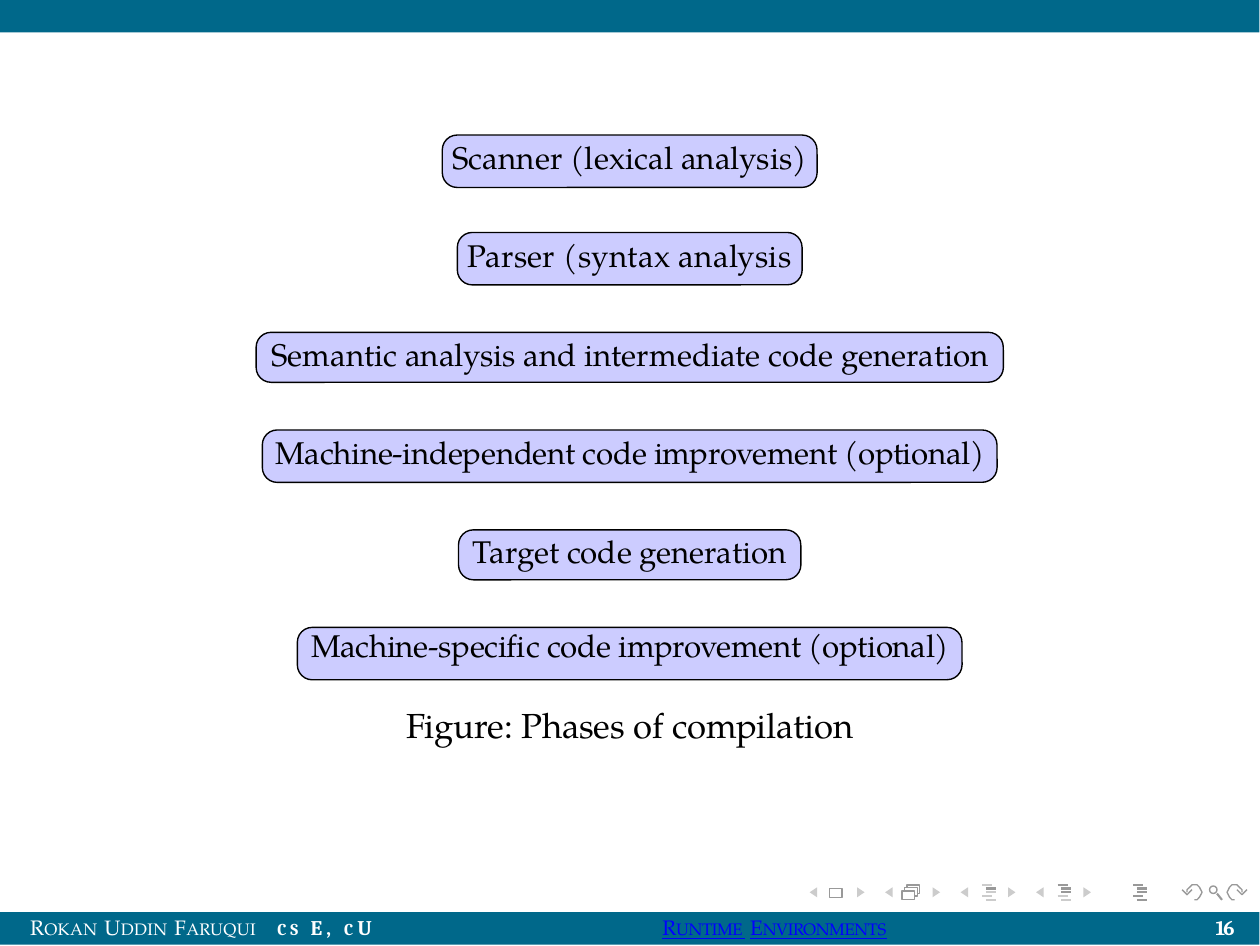
from pptx import Presentation
from pptx.dml.color import RGBColor
from pptx.enum.shapes import MSO_CONNECTOR, MSO_SHAPE
from pptx.enum.text import MSO_ANCHOR, PP_ALIGN
from pptx.oxml.ns import qn
from pptx.util import Inches, Pt
from lxml.etree import SubElement

TEAL = RGBColor(0x00, 0x68, 0x8A)
LAVENDER = RGBColor(0xCC, 0xCC, 0xFF)
BLACK = RGBColor(0x00, 0x00, 0x00)
WHITE = RGBColor(0xFF, 0xFF, 0xFF)
LINK_BLUE = RGBColor(0x00, 0x00, 0xFF)
GREY = RGBColor(0x99, 0x99, 0x99)
LIGHT_GREY = RGBColor(0xCC, 0xCC, 0xCC)

WIDTH = 5.04
BAR_HEIGHT = 0.13
SERIF = "TeX Gyre Pagella"
PHASE_FONT = {"name": SERIF, "size": Pt(9), "bold": False}
CAPTION_FONT = {"name": SERIF, "size": Pt(10), "bold": False}
AUTHOR_FONT = {"name": SERIF, "size": Pt(6)}
TALK_FONT = {"name": SERIF, "size": Pt(6), "underline": True}
NUMBER_FONT = {"name": "Cambria", "size": Pt(6), "bold": True}

PHASES = [
    ("Scanner (lexical analysis)", 0.54, 1.50, 0.21, 0.03, 0.04),
    ("Parser (syntax analysis", 0.93, 1.38, 0.21, 0.03, 0.08),
    ("Semantic analysis and intermediate code generation", 1.33, 2.99, 0.20, 0.03, 0),
    ("Machine-independent code improvement (optional)", 1.72, 2.94, 0.21, 0.03, -0.09),
    ("Target code generation", 2.12, 1.37, 0.20, 0.03, 0),
    ("Machine-specific code improvement (optional)", 2.51, 2.66, 0.21, 0.07, -0.08),
]
AUTHOR = [("R", 0.1, False), ("okan ", 0.1, True), ("U", 0.1, False),
          ("ddin ", 0.1, True), ("F", 0.1, False), ("aruqui", 0.1, True)]
AFFILIATION = [("cs", 1.2, True), ("E, ", 1.2, False), ("c", 0.6, True), ("U", 0.6, False)]
TALK = [("R", -0.1, False), ("untime", -0.1, True), (" ", 1.3, False),
        ("E", -0.2, False), ("nvironments", -0.1, True)]


def write(frame, runs, font_format, color, align=PP_ALIGN.CENTER, lift=0):
    """Fill a text frame with one line of (text, spacing, small caps) runs."""
    layout = {"margin_left": 0, "margin_right": 0, "margin_top": 0,
              "margin_bottom": Inches(lift), "word_wrap": False,
              "vertical_anchor": MSO_ANCHOR.MIDDLE}
    for key, value in layout.items():
        setattr(frame, key, value)
    line = frame.paragraphs[0]
    line.alignment = align
    for text, spacing, small in runs:
        run = line.add_run()
        run.text = text
        for key, value in font_format.items():
            setattr(run.font, key, value)
        run.font.color.rgb = color
        properties = run.font._element
        if spacing:
            properties.set("spc", str(round(spacing * 100)))
        if small:
            properties.set("cap", "small")


def paint(shape, fill=None, line=None, weight=0.4):
    """Give a shape its fill and outline, without a shadow."""
    shape.shadow.inherit = False
    if fill is None:
        shape.fill.background()
    else:
        shape.fill.solid()
        shape.fill.fore_color.rgb = fill
    if line is None:
        shape.line.fill.background()
    else:
        shape.line.color.rgb = line
        shape.line.width = Pt(weight)


def add_outline(slide, contours, closed=False, **colors):
    """Draw contours given as lists of points in inches."""
    builder = None
    for contour in contours:
        points = [(Inches(x), Inches(y)) for x, y in contour]
        if builder is None:
            builder = slide.shapes.build_freeform(*points[0], scale=1.0)
        else:
            builder.move_to(*points[0])
        builder.add_line_segments(points[1:], close=closed)
    paint(builder.convert_to_shape(), **colors)


def add_stroke(slide, x1, y1, x2, y2, color):
    """Draw a straight stroke without a shadow."""
    stroke = slide.shapes.add_connector(
        MSO_CONNECTOR.STRAIGHT, *map(Inches, (x1, y1, x2, y2)))
    stroke.line.color.rgb = color
    stroke.line.width = Pt(0.6)
    SubElement(stroke._element.spPr, qn("a:effectLst"))


def add_bar(slide, top):
    """Draw a full-width band."""
    bar = slide.shapes.add_shape(
        MSO_SHAPE.RECTANGLE, *map(Inches, (0, top, WIDTH, BAR_HEIGHT)))
    paint(bar, fill=TEAL)


def add_phases(slide, center):
    """Stack the compiler phases around a vertical axis."""
    for label, top, width, height, lift, spacing in PHASES:
        phase = slide.shapes.add_shape(
            MSO_SHAPE.ROUNDED_RECTANGLE,
            *map(Inches, (center - width / 2, top, width, height)))
        phase.adjustments[0] = 0.06 / height
        paint(phase, fill=LAVENDER, line=BLACK)
        write(phase.text_frame, [(label, spacing, False)], PHASE_FONT, BLACK, lift=lift)


def add_caption(slide, left, top, width, height):
    """Set the figure caption in the title placeholder."""
    caption = slide.shapes.title
    box = {"left": left, "top": top, "width": width, "height": height}
    for key, value in box.items():
        setattr(caption, key, Inches(value))
    write(caption.text_frame, [("Figure: Phases of compilation", -0.03, False)],
          CAPTION_FONT, BLACK)


def add_navigation(slide, left, top):
    """Draw the row of navigation symbols from its top left corner."""
    middle = top + 0.03
    for step in range(4):
        back = left + 0.302 * step
        for tip, base in ((back, back + 0.03), (back + 0.22, back + 0.19)):
            add_outline(slide, [[(base, middle - 0.02), (tip, middle),
                                 (base, middle + 0.02)]], closed=True, fill=LIGHT_GREY)

    for x, y in ((left + 0.08, top + 0.015), (left + 0.37, top + 0.025)):
        page = slide.shapes.add_shape(
            MSO_SHAPE.RECTANGLE, *map(Inches, (x, y, 0.05, 0.035)))
        paint(page, line=GREY)
    for shift in (0, 0.01):
        x, y = left + 0.38 + shift, top + 0.02 - shift
        add_outline(slide, [[(x, y), (x, y - 0.01), (x + 0.05, y - 0.01),
                             (x + 0.05, y + 0.025), (x + 0.04, y + 0.025)]], line=GREY)

    for group, dark_rows in enumerate([{1}, {0, 1, 2}, set(range(5))]):
        for row in range(5):
            x = left + 0.69 + 0.302 * group + (0.015 if row in (1, 2, 4) else 0)
            y = top + 0.015 * row
            add_stroke(slide, x, y, x + 0.04, y, GREY if row in dark_rows else LIGHT_GREY)

    lens = slide.shapes.add_shape(
        MSO_SHAPE.OVAL, *map(Inches, (left + 1.6, top + 0.005, 0.03, 0.03)))
    paint(lens, line=GREY)
    add_stroke(slide, left + 1.63, top + 0.035, left + 1.65, top + 0.06, GREY)

    arc = [(1.54, 0.06), (1.55, 0.06), (1.56, 0.05), (1.57, 0.03), (1.56, 0.01),
           (1.55, 0), (1.53, 0), (1.52, 0.01), (1.51, 0.02), (1.51, 0.03)]
    head = [(1.53, 0.02), (1.51, 0.04), (1.49, 0.02)]
    for origin, direction in ((0, 1), (3.24, -1)):
        add_outline(slide, [[(left + origin + direction * x, top + y) for x, y in part]
                            for part in (arc, head)], line=GREY)


def add_footer(slide, top):
    """Draw the bottom band with author, talk and slide number."""
    add_bar(slide, top)
    entries = [
        (0.12, 0.95, AUTHOR, AUTHOR_FONT, WHITE, PP_ALIGN.LEFT),
        (1.11, 0.5, AFFILIATION, NUMBER_FONT, WHITE, PP_ALIGN.LEFT),
        (2.59, 1, TALK, TALK_FONT, LINK_BLUE, PP_ALIGN.CENTER),
        (4.74, 0.2, [("16", -0.5, False)], NUMBER_FONT, WHITE, PP_ALIGN.RIGHT),
    ]
    for left, width, runs, font_format, color, align in entries:
        entry = slide.shapes.add_textbox(
            *map(Inches, (left, top - 0.01, width, 0.14)))
        write(entry.text_frame, runs, font_format, color, align)
        entry.text_frame.word_wrap = True


def main():
    """Build and save the slide."""
    deck = Presentation()
    deck.slide_width = Pt(363)
    deck.slide_height = Pt(272.5)
    slide = deck.slides.add_slide(deck.slide_layouts[5])
    add_navigation(slide, 3.24, 3.54)
    add_bar(slide, 0)
    add_phases(slide, WIDTH / 2)
    add_caption(slide, 1.05, 2.8, 2.94, 0.2)
    add_footer(slide, 3.65)
    deck.save("out.pptx")


if __name__ == "__main__":
    main()
